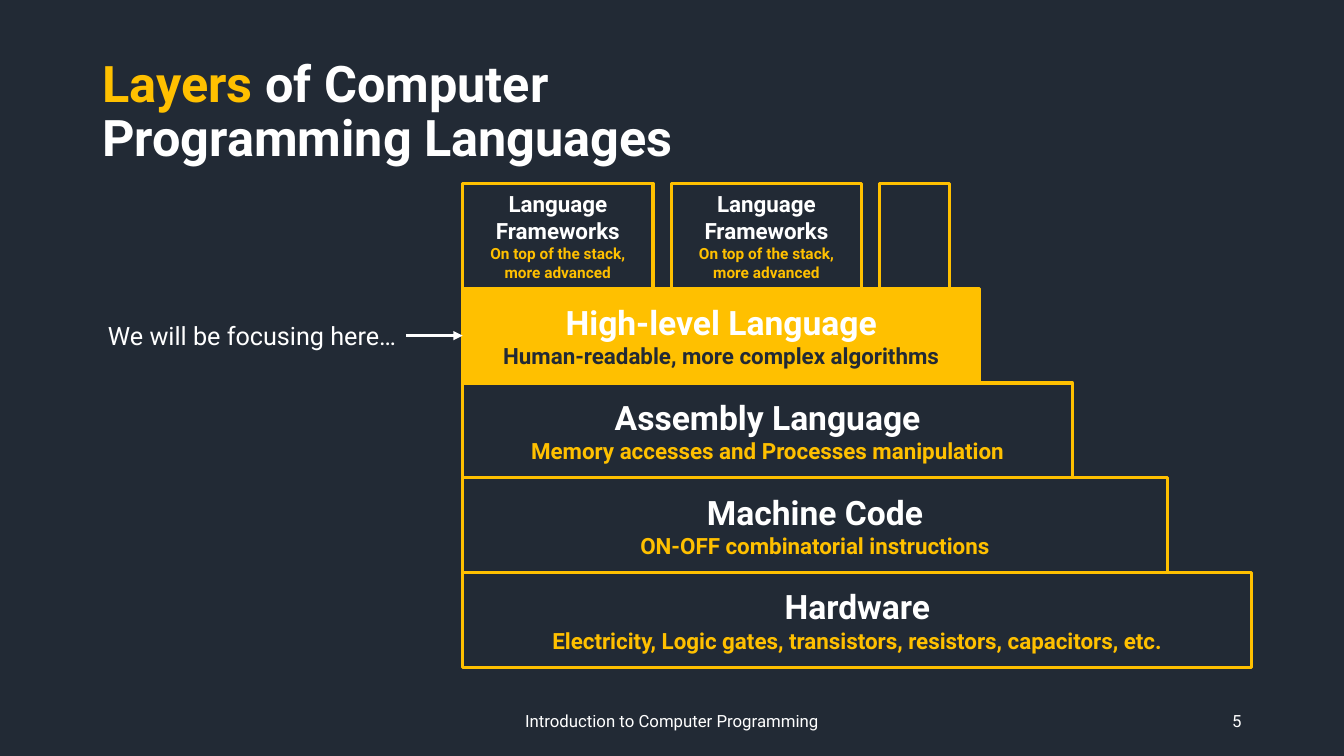
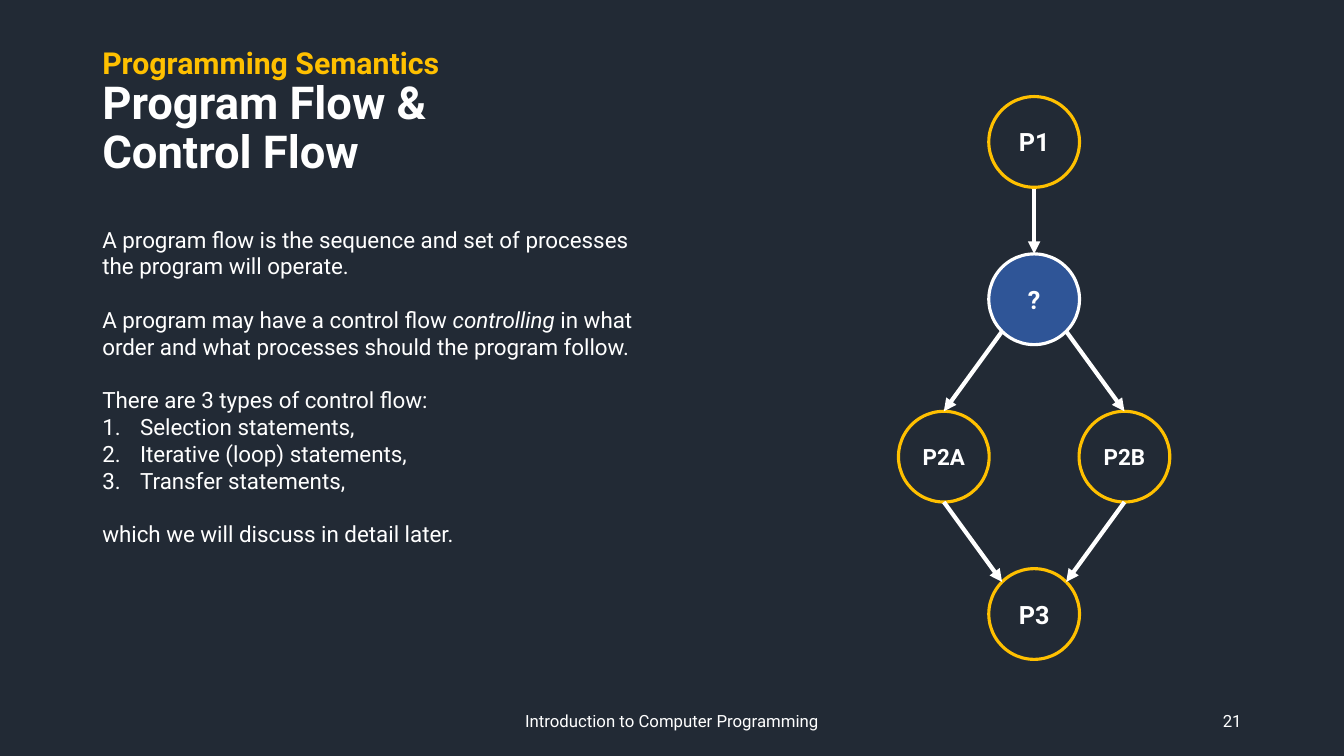
import math
from lxml import etree
from pptx import Presentation
from pptx.dml.color import RGBColor
from pptx.enum import shapes, text
from pptx.oxml import ns
from pptx.util import Pt

NAVY = RGBColor(0x22, 0x2A, 0x35)
GOLD = RGBColor(0xFF, 0xC0, 0x00)
WHITE = RGBColor(0xFF, 0xFF, 0xFF)
BLUE = RGBColor(0x2F, 0x55, 0x97)
FONT = "Roboto"
FOOTER = "Introduction to Computer Programming"
LEFT, RIGHT, CENTER = text.PP_ALIGN.LEFT, text.PP_ALIGN.RIGHT, text.PP_ALIGN.CENTER
TOP, MIDDLE = text.MSO_ANCHOR.TOP, text.MSO_ANCHOR.MIDDLE
RECT, OVAL = shapes.MSO_SHAPE.RECTANGLE, shapes.MSO_SHAPE.OVAL


def add_run(p, words, size, color=WHITE, bold=False, italic=False):
    for i, line in enumerate(words.split("\n")):
        if i:
            p.add_line_break()
        if line:
            r = p.add_run()
            r.text = line
            f = r.font
            f.name, f.size, f.bold, f.italic = FONT, Pt(size), bold, italic
            f.color.rgb = color


def fill_frame(tf, paragraphs, align=LEFT, anchor=MIDDLE):
    tf.word_wrap = True
    tf.vertical_anchor = anchor
    for i, runs in enumerate(paragraphs):
        p = tf.add_paragraph() if i else tf.paragraphs[0]
        p.alignment = align
        for run in runs:
            add_run(p, *run)


def add_text(s, box, paragraphs, align=LEFT, anchor=MIDDLE):
    tf = s.shapes.add_textbox(*map(Pt, box)).text_frame
    fill_frame(tf, paragraphs, align, anchor)
    return tf


def add_box(s, kind, box, paragraphs=(), fill=None, line=GOLD):
    sp = s.shapes.add_shape(kind, *map(Pt, box))
    sp.shadow.inherit = False
    if fill is None:
        sp.fill.background()
    else:
        sp.fill.solid()
        sp.fill.fore_color.rgb = fill
    sp.line.color.rgb = line
    sp.line.width = Pt(2.25)
    fill_frame(sp.text_frame, paragraphs, CENTER)


def add_arrow(s, start, end, width):
    c = s.shapes.add_connector(shapes.MSO_CONNECTOR.STRAIGHT, *map(Pt, (*start, *end)))
    c.line.color.rgb = WHITE
    c.line.width = Pt(width)
    etree.SubElement(c.line._get_or_add_ln(), ns.qn("a:tailEnd"), type="triangle")
    etree.SubElement(c._element.spPr, ns.qn("a:effectLst"))


def add_slide(prs, title, number):
    s = prs.slides.add_slide(prs.slide_layouts[6])
    s.background.fill.solid()
    s.background.fill.fore_color.rgb = NAVY
    tf = add_text(s, (66, 28.8, 828, 104.4), [title])
    tf.paragraphs[0].line_spacing = 0.9
    add_text(s, (318, 500.5, 324, 28.8), [[(FOOTER, 12)]], CENTER)
    add_text(s, (678, 500.5, 216, 28.8), [[(str(number), 12)]], RIGHT)
    return s


def layer_stack(s, x, y, row_h):
    layers = [
        ("High-level Language", "Human-readable, more complex algorithms", 369.4, GOLD, NAVY),
        ("Assembly Language", "Memory accesses and Processes manipulation", 435.6, None, GOLD),
        ("Machine Code", "ON-OFF combinatorial instructions", 503.3, None, GOLD),
        ("Hardware", "Electricity, Logic gates, transistors, resistors, capacitors, etc.",
         563.8, None, GOLD),
    ]
    for i, (name, detail, w, fill, color) in reversed(list(enumerate(layers))):
        add_box(s, RECT, (x, y + i * row_h, w, row_h),
                [[(name, 24, WHITE, True)], [(detail, 16, color, True)]], fill)


def framework_row(s, x, y, w, h, gap):
    words = [[("Language", 16, WHITE, True)], [("Frameworks", 16, WHITE, True)],
             [("On top of the stack, more advanced", 11, GOLD, True)]]
    for i in range(2):
        add_box(s, RECT, (x + i * (w + gap), y, w, h), words)
    add_box(s, RECT, (x + 2 * (w + gap), y, 50, h))


def focus_note(s, x, y):
    start = x - 40.3
    add_arrow(s, (start, y), (x, y), 2.25)
    add_text(s, (start - 271.4, y - 14.7, 271.4, 29),
             [[("We will be focusing here…", 18)]], RIGHT, TOP)


def flow_notes(s, box):
    size, gap = 16, 19
    steps = ("Selection statements,", "Iterative (loop) statements,", "Transfer statements,")
    tf = add_text(s, box, [
        [("A program flow is the sequence and set of processes the program will operate.", size)],
        [("A program may have a control flow ", size),
         ("controlling", size, WHITE, False, True),
         (" in what order and what processes should the program follow.", size)],
        [("There are 3 types of control flow:", size)],
        *[[(step, size)] for step in steps],
        [("which we will discuss in detail later.", size)],
    ], anchor=TOP)
    for i in (0, 1, 5):
        tf.paragraphs[i].space_after = Pt(gap)
    for p in tf.paragraphs[3:6]:
        pPr = p._p.get_or_add_pPr()
        pPr.set("marL", str(Pt(27)))
        pPr.set("indent", str(Pt(-27)))
        etree.SubElement(pPr, ns.qn("a:buFont"), typeface="+mj-lt")
        etree.SubElement(pPr, ns.qn("a:buAutoNum"), type="arabicPeriod")


def flow_chart(s, cx, top, d, step):
    r, side = d / 2, 64.5
    diag = r * math.sqrt(0.5)
    p1, choice, merge = [(cx, top + r + i * step) for i in (0, 1, 3)]
    branches = [(cx + k * side, top + r + 2 * step) for k in (-1, 1)]
    add_arrow(s, (cx, p1[1] + r), (cx, choice[1] - r), 3)
    nodes = [("P1", p1, 18, None, GOLD), ("?", choice, 18, BLUE, WHITE),
             ("P3", merge, 18, None, GOLD), ("P2A", branches[0], 16, None, GOLD),
             ("P2B", branches[1], 16, None, GOLD)]
    for name, (x, y), size, fill, line in nodes:
        add_box(s, OVAL, (x - r, y - r, d, d), [[(name, size, WHITE, True)]], fill, line)
    for k, (x, y) in zip((-1, 1), branches):
        add_arrow(s, (cx + k * diag, choice[1] + diag), (x, y - r), 3)
        add_arrow(s, (x, y + r), (cx + k * diag, merge[1] - diag), 3)


def layers_slide(prs):
    s = add_slide(prs, [("Layers", 36, GOLD, True),
                        (" of Computer\nProgramming Languages", 36, WHITE, True)], 5)
    x, y, row_h = 330.5, 205.9, 67.7
    layer_stack(s, x, y, row_h)
    focus_note(s, x, y + row_h / 2)
    framework_row(s, x, y - 74.9, 136, 74.9, 13)


def flow_slide(prs):
    s = add_slide(prs, [("Programming Semantics\n", 21.6, GOLD, True),
                        ("Program Flow &\nControl Flow", 32.4, WHITE, True)], 21)
    flow_chart(s, 738.7, 69, 64.8, 112.4)
    flow_notes(s, (66, 157.7, 409.7, 239.8))


prs = Presentation()
prs.slide_width, prs.slide_height = Pt(960), Pt(540)
layers_slide(prs)
flow_slide(prs)
prs.save("out.pptx")
